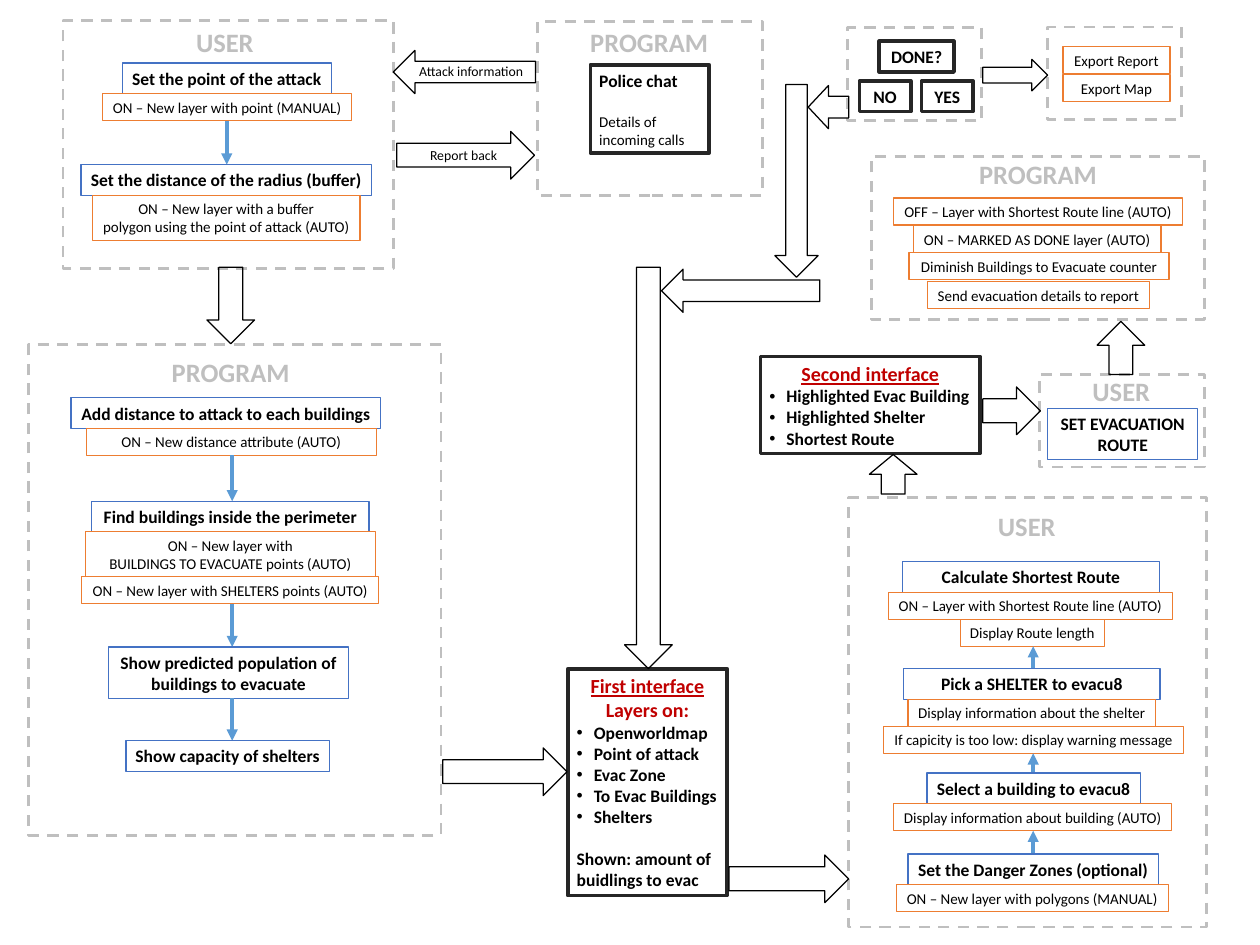
from lxml.etree import SubElement
from pptx import Presentation
from pptx.dml.color import RGBColor
from pptx.enum.dml import MSO_LINE
from pptx.enum.shapes import MSO_CONNECTOR, MSO_SHAPE
from pptx.enum.text import MSO_ANCHOR, PP_ALIGN
from pptx.oxml.ns import qn
from pptx.util import Inches, Pt

BLACK = RGBColor(0x00, 0x00, 0x00)
WHITE = RGBColor(0xFF, 0xFF, 0xFF)
GREY = RGBColor(0xBF, 0xBF, 0xBF)
DARK = RGBColor(0x26, 0x26, 0x26)
RED = RGBColor(0xC0, 0x00, 0x00)
BLUE = RGBColor(0x44, 0x72, 0xC4)
ORANGE = RGBColor(0xED, 0x7D, 0x31)
FLOW_BLUE = RGBColor(0x5B, 0x9B, 0xD5)

# Row styles: outline, text size, bold, height by number of lines
STEP = (BLUE, 14, True, {1: 0.34, 2: 0.57})
NOTE = (ORANGE, 12, False, {1: 0.30, 2: 0.50})
GAP = "gap"
EMPTY_LINE = Pt(17)


# Basic parts
def style(paragraph, size, color=BLACK, bold=False, align=PP_ALIGN.LEFT, underline=False):
    paragraph.alignment = align
    for run in paragraph.runs:
        font = run.font
        font.name, font.size, font.bold = "Calibri", Pt(size), bold
        font.underline = underline
        font.color.rgb = color


def outline(kind, box, color, width, fill=None):
    shape = slide.shapes.add_shape(kind, *map(Inches, box))
    shape.shadow.inherit = False
    if fill is None:
        shape.fill.background()
    else:
        shape.fill.solid()
        shape.fill.fore_color.rgb = fill
    shape.line.color.rgb = color
    shape.line.width = Pt(width)
    return shape


def write(shape, text, size, bold=False, align=PP_ALIGN.CENTER, wrap=False):
    frame = shape.text_frame
    frame.word_wrap = wrap
    frame.vertical_anchor = MSO_ANCHOR.MIDDLE
    frame.text = text
    for paragraph in frame.paragraphs:
        style(paragraph, size, BLACK, bold, align)
    return frame.paragraphs


def label(left, top, width, height, text, size, color=BLACK, bold=False):
    caption = slide.shapes.add_textbox(*map(Inches, (left, top, width, height)))
    caption.text_frame.word_wrap = True
    caption.text_frame.text = text
    style(caption.text_frame.paragraphs[0], size, color, bold)


def block_arrow(kind, *box):
    outline(kind, box, BLACK, 1)


def flow_arrow(x, start, end):
    flow = slide.shapes.add_connector(
        MSO_CONNECTOR.STRAIGHT, *map(Inches, (x, start, x, end)))
    flow.line.color.rgb = FLOW_BLUE
    flow.line.width = Pt(3)
    SubElement(flow.line._get_or_add_ln(), qn("a:tailEnd"), type="triangle")
    SubElement(flow._element.spPr, qn("a:effectLst"))


def dashed_frame(box, title=None, dx=0, dy=0):
    frame = outline(MSO_SHAPE.RECTANGLE, box, GREY, 2.25)
    frame.line.dash_style = MSO_LINE.DASH
    if title:
        width = 0.87 if title == "USER" else 1.52
        label(box[0] + dx, box[1] + dy, width, 0.46, title, 21.2, GREY, True)


def stack(left, top, rows, flow_x=0, upward=False):
    """Rows are (style, dx, width, text) or (GAP, height, has_arrow)."""
    for kind, *row in rows:
        if kind == GAP:
            height, has_arrow = row
            if has_arrow:
                ends = (top + height, top) if upward else (top, top + height)
                flow_arrow(left + flow_x, *ends)
        else:
            dx, width, text = row
            color, size, bold, heights = kind
            height = heights[text.count("\n") + 1]
            box = (left + dx, top, width, height)
            write(outline(MSO_SHAPE.RECTANGLE, box, color, 1, WHITE), text, size, bold)
        top += height


# Regions
def attack_input(box):
    dashed_frame(box, "USER", 1.38, 0.01)
    stack(box[0], box[1] + 0.47, [
        (STEP, 0.66, 2.32, "Set the point of the attack"),
        (NOTE, 0.44, 2.77, "ON – New layer with point (MANUAL)"),
        (GAP, 0.49, True),
        (STEP, 0.20, 3.23, "Set the distance of the radius (buffer)"),
        (NOTE, 0.33, 2.97,
         "ON – New layer with a buffer\npolygon using the point of attack (AUTO)"),
    ], 1.82)


def perimeter_analysis(box):
    dashed_frame(box, "PROGRAM", 1.49, 0.08)
    stack(box[0], box[1] + 0.59, [
        (STEP, 0.47, 3.44, "Add distance to attack to each buildings"),
        (NOTE, 0.64, 3.22, "ON – New distance attribute (AUTO)"),
        (GAP, 0.51, True),
        (STEP, 0.70, 3.08, "Find buildings inside the perimeter"),
        (NOTE, 0.63, 3.22, "ON – New layer with\nBUILDINGS TO EVACUATE points (AUTO)"),
        (NOTE, 0.59, 3.30, "ON – New layer with SHELTERS points (AUTO)"),
        (GAP, 0.48, True),
        (STEP, 0.89, 2.66, "Show predicted population of\nbuildings to evacuate"),
        (GAP, 0.47, True),
        (STEP, 1.08, 2.26, "Show capacity of shelters"),
    ], 2.26)


def police_chat(box):
    dashed_frame(box, "PROGRAM", 0.49, 0)
    chat = outline(MSO_SHAPE.RECTANGLE, (box[0] + 0.59, box[1] + 0.48, 1.32, 0.98), DARK, 3)
    heading, details = write(chat, "Police chat\nDetails of incoming calls", 12,
                             align=PP_ALIGN.LEFT, wrap=True)
    style(heading, 14, bold=True)
    details.space_before = EMPTY_LINE


def shelter_choice(box):
    dashed_frame(box, "USER", 1.56, 0.09)
    stack(box[0], box[1] + 0.71, [
        (STEP, 0.60, 2.85, "Calculate Shortest Route"),
        (NOTE, 0.44, 3.16, "ON – Layer with Shortest Route line (AUTO)"),
        (NOTE, 1.24, 1.60, "Display Route length"),
        (GAP, 0.25, True),
        (STEP, 0.61, 2.85, "Pick a SHELTER to evacu8"),
        (NOTE, 0.66, 2.75, "Display information about the shelter"),
        (NOTE, 0.39, 3.33, "If capicity is too low: display warning message"),
        (GAP, 0.22, True),
        (STEP, 0.87, 2.37, "Select a building to evacu8"),
        (NOTE, 0.50, 3.09, "Display information about building (AUTO)"),
        (GAP, 0.26, True),
        (STEP, 0.66, 2.78, "Set the Danger Zones (optional)"),
        (NOTE, 0.53, 3.02, "ON – New layer with polygons (MANUAL)"),
    ], 2.05, upward=True)


def route_setting(box):
    dashed_frame(box, "USER", 0.49, -0.04)
    stack(box[0], box[1] + 0.38, [(STEP, 0.09, 1.67, "SET EVACUATION\nROUTE")])


def route_update(box):
    dashed_frame(box, "PROGRAM", 1.10, -0.03)
    stack(box[0], box[1] + 0.46, [
        (NOTE, 0.25, 3.21, "OFF – Layer with Shortest Route line (AUTO)"),
        (GAP, 0.01, False),
        (NOTE, 0.47, 2.75, "ON – MARKED AS DONE layer (AUTO)"),
        (NOTE, 0.42, 2.89, "Diminish Buildings to Evacuate counter"),
        (GAP, 0.02, False),
        (NOTE, 0.63, 2.46, "Send evacuation details to report"),
    ])


def done_question(box):
    dashed_frame(box)
    for dx, dy, width, text in [(0.35, 0.15, 0.83, "DONE?"),
                                (0.13, 0.59, 0.57, "NO"),
                                (0.82, 0.59, 0.57, "YES")]:
        choice = (box[0] + dx, box[1] + dy, width, 0.34)
        write(outline(MSO_SHAPE.RECTANGLE, choice, DARK, 3), text, 14, True)


def exports(box):
    dashed_frame(box)
    stack(box[0], box[1] + 0.22, [
        (NOTE, 0.17, 1.19, "Export Report"),
        (GAP, 0.01, False),
        (NOTE, 0.17, 1.19, "Export Map"),
    ])


def interface(box, headings, bullets, closing=()):
    panel = outline(MSO_SHAPE.RECTANGLE, box, DARK, 3)
    lines = [*headings, *bullets, *closing]
    paragraphs = write(panel, "\n".join(lines), 14, True, PP_ALIGN.LEFT)
    first, last = len(headings), len(headings) + len(bullets)
    for index, heading in enumerate(paragraphs[:first]):
        style(heading, 16, RED, True, PP_ALIGN.CENTER, index == 0)
    for bullet in paragraphs[first:last]:
        properties = bullet._p.get_or_add_pPr()
        properties.set("marL", str(Inches(0.19)))
        properties.set("indent", str(-Inches(0.19)))
        SubElement(properties, qn("a:buFont"), typeface="Arial")
        SubElement(properties, qn("a:buChar"), char="•")
    if closing:
        paragraphs[last].space_before = EMPTY_LINE


deck = Presentation()
deck.slide_width, deck.slide_height = Inches(14), Inches(10.5)
slide = deck.slides.add_slide(deck.slide_layouts[6])

attack_input((0.70, 0.23, 3.67, 2.75))
perimeter_analysis((0.32, 3.83, 4.58, 5.45))
police_chat((5.97, 0.24, 2.50, 1.93))
shelter_choice((9.43, 5.53, 3.98, 4.77))
route_setting((11.55, 4.16, 1.83, 1.03))
route_update((9.68, 1.74, 3.70, 1.81))
done_question((9.42, 0.31, 1.49, 1.03))
exports((11.64, 0.30, 1.49, 1.03))
interface((6.31, 7.43, 1.77, 2.52), ["First interface", "Layers on:"],
          ["Openworldmap", "Point of attack", "Evac Zone", "To Evac Buildings", "Shelters"],
          ["Shown: amount of", "buidlings to evac"])
interface((8.45, 3.96, 2.44, 1.08), ["Second interface"],
          ["Highlighted Evac Building", "Highlighted Shelter", "Shortest Route"])

# Arrows between regions
for direction, *arrow_box in [
    (MSO_SHAPE.DOWN_ARROW, 2.30, 2.97, 0.53, 0.85),
    (MSO_SHAPE.DOWN_ARROW, 6.94, 2.97, 0.53, 4.46),
    (MSO_SHAPE.DOWN_ARROW, 8.61, 0.94, 0.48, 2.14),
    (MSO_SHAPE.UP_ARROW, 12.19, 3.57, 0.53, 0.59),
    (MSO_SHAPE.UP_ARROW, 9.66, 5.05, 0.53, 0.44),
    (MSO_SHAPE.LEFT_ARROW, 4.37, 0.56, 1.58, 0.48),
    (MSO_SHAPE.LEFT_ARROW, 8.98, 0.95, 0.45, 0.48),
    (MSO_SHAPE.LEFT_ARROW, 7.35, 2.99, 1.76, 0.48),
    (MSO_SHAPE.RIGHT_ARROW, 4.41, 1.46, 1.53, 0.53),
    (MSO_SHAPE.RIGHT_ARROW, 4.92, 8.31, 1.38, 0.53),
    (MSO_SHAPE.RIGHT_ARROW, 10.92, 4.30, 0.64, 0.53),
    (MSO_SHAPE.RIGHT_ARROW, 8.10, 9.50, 1.33, 0.53),
    (MSO_SHAPE.RIGHT_ARROW, 10.92, 0.66, 0.72, 0.35),
]:
    block_arrow(direction, *arrow_box)
label(4.56, 0.65, 1.37, 0.29, "Attack information", 11)
label(4.68, 1.58, 0.97, 0.29, "Report back", 11)

deck.save("out.pptx")
